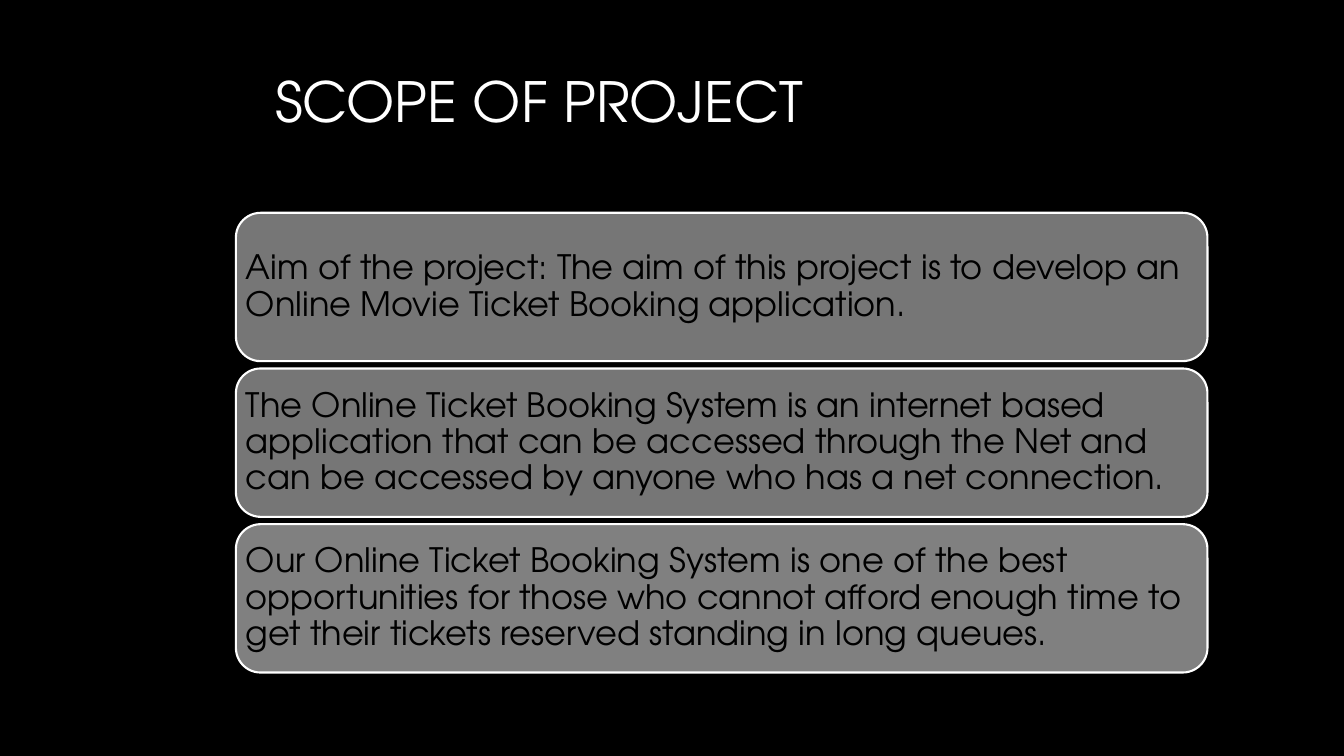
from pptx import Presentation
from pptx.dml.color import RGBColor
from pptx.enum.shapes import MSO_SHAPE
from pptx.enum.text import MSO_ANCHOR, PP_ALIGN
from pptx.util import Pt

ROUNDED = MSO_SHAPE.ROUNDED_RECTANGLE
MIDDLE = MSO_ANCHOR.MIDDLE
LEFT = PP_ALIGN.LEFT

FONT = "TeX Gyre Adventor"
BLACK = RGBColor(0x00, 0x00, 0x00)
WHITE = RGBColor(0xFF, 0xFF, 0xFF)
DARK_GRAY = RGBColor(0x76, 0x76, 0x76)
GRAY = RGBColor(0x80, 0x80, 0x80)

CARD_LEFT, CARD_TOP = 168.5, 152
CARD_WIDTH, CARD_HEIGHT = 694, 106
CARD_PITCH = 111.2

CARDS = [
    ("Aim of the project: The aim of this project is to develop an "
     "Online Movie Ticket Booking application.", DARK_GRAY),
    ("The Online Ticket Booking System is an internet based application "
     "that can be accessed through the Net and can be accessed by anyone "
     "who has a net connection.", DARK_GRAY),
    ("Our Online Ticket Booking System is one of the best opportunities "
     "for those who cannot afford enough time to get their tickets "
     "reserved standing in long queues.", GRAY),
]


def write_text(frame, text, *, size, color, line_spacing=1.0):
    frame.word_wrap = True
    frame.vertical_anchor = MIDDLE
    para = frame.paragraphs[0]
    para.alignment = LEFT
    para.line_spacing = line_spacing
    span = para.add_run()
    span.text = text
    span.font.name = FONT
    span.font.size = Pt(size)
    span.font.color.rgb = color


deck = Presentation()
deck.slide_width, deck.slide_height = Pt(960), Pt(540)
page = deck.slides.add_slide(deck.slide_layouts[5])
page.background.fill.solid()
page.background.fill.fore_color.rgb = BLACK

title = page.shapes.title
title.left, title.top = Pt(189.4), Pt(44)
title.width, title.height = Pt(431), Pt(56)
write_text(title.text_frame, "SCOPE OF PROJECT", size=39.6, color=WHITE)

for row, (text, fill_color) in enumerate(CARDS):
    card = page.shapes.add_shape(
        ROUNDED, Pt(CARD_LEFT), Pt(CARD_TOP + row * CARD_PITCH),
        Pt(CARD_WIDTH), Pt(CARD_HEIGHT))
    card.shadow.inherit = False
    card.fill.solid()
    card.fill.fore_color.rgb = fill_color
    card.line.color.rgb = WHITE
    card.line.width = Pt(1.5)
    frame = card.text_frame
    frame.margin_left = frame.margin_right = Pt(2)
    frame.margin_top = frame.margin_bottom = Pt(2)
    write_text(frame, text, size=24, color=BLACK, line_spacing=0.9)

deck.save("out.pptx")
